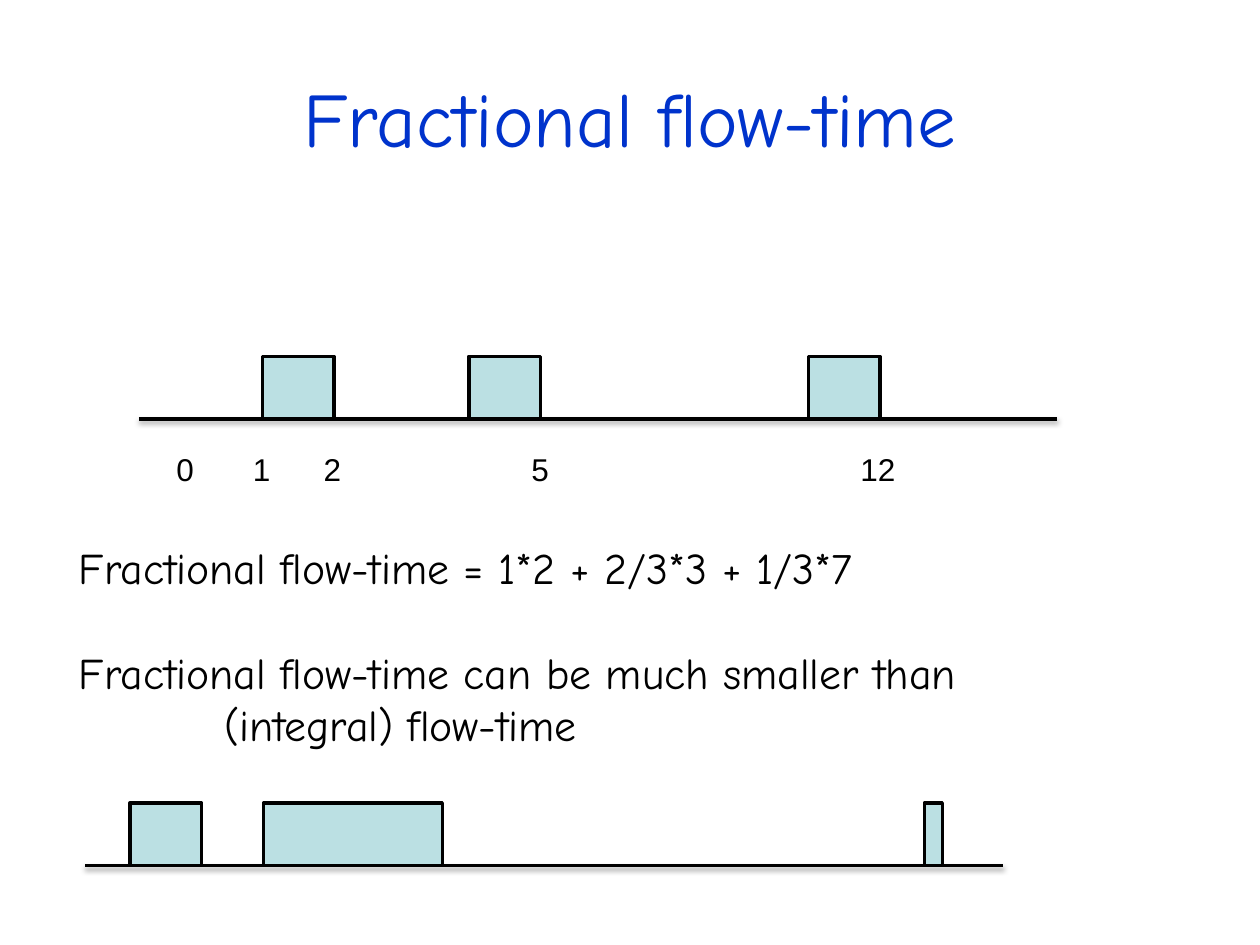
from lxml.etree import SubElement
from pptx import Presentation
from pptx.dml.color import RGBColor
from pptx.enum.shapes import MSO_CONNECTOR as Connector, MSO_SHAPE as Shape
from pptx.enum.text import MSO_ANCHOR as Anchor, MSO_AUTO_SIZE as AutoSize, PP_ALIGN as Align
from pptx.oxml.ns import qn
from pptx.util import Pt

COLORS = {"title": "0033CC", "ink": "000000", "job": "BBE0E3"}
HEADING_FONT, LABEL_FONT = "Comic Neue", "Arial"
JOB_HEIGHT = 35.7
UNIT_JOB = 41


def rgb(name):
    return RGBColor.from_string(COLORS[name])


class TimelineSlide:
    """Holds the shared style and the slide being drawn; lengths are in points."""

    def __init__(self, slide):
        self.shapes = slide.shapes
        self.line_width = Pt(2)

    def style_line(self, line):
        line.color.rgb = rgb("ink")
        line.width = self.line_width

    def text(self, lines, left, top, width, height, size, font, color="ink", wrap=True):
        box = self.shapes.add_textbox(Pt(left), Pt(top), Pt(width), Pt(height))
        frame = box.text_frame
        frame.word_wrap = wrap
        frame.text = "\n".join(lines)
        for paragraph in frame.paragraphs:
            for run in paragraph.runs:
                run.font.size = Pt(size)
                run.font.name = font
                run.font.color.rgb = rgb(color)
        return frame

    def title(self, wording):
        frame = self.text([wording], 36, 21.6, 648, 90, 44, HEADING_FONT, "title")
        frame.vertical_anchor = Anchor.MIDDLE
        frame.paragraphs[0].alignment = Align.CENTER

    def time_label(self, wording, left):
        width = 15 + 10.2 * len(wording)
        frame = self.text([wording], left, 253.4, width, 28.1, 18, LABEL_FONT, wrap=False)
        frame.auto_size = AutoSize.SHAPE_TO_FIT_TEXT

    def axis(self, left, y, length):
        axis = self.shapes.add_connector(
            Connector.STRAIGHT, Pt(left), Pt(y), Pt(left + length), Pt(y))
        self.style_line(axis.line)
        effects = SubElement(axis._element.spPr, qn("a:effectLst"))
        shadow = SubElement(effects, qn("a:outerShdw"), blurRad="40000", dist="20000",
                            dir="5400000", rotWithShape="0")
        shade = SubElement(shadow, qn("a:srgbClr"), val=COLORS["ink"])
        SubElement(shade, qn("a:alpha"), val="38000")

    def job(self, left, bottom, width):
        job = self.shapes.add_shape(
            Shape.RECTANGLE, Pt(left), Pt(bottom - JOB_HEIGHT), Pt(width), Pt(JOB_HEIGHT))
        job.shadow.inherit = False
        job.fill.solid()
        job.fill.fore_color.rgb = rgb("job")
        self.style_line(job.line)

    def timeline(self, axis_left, axis_y, jobs):
        """Draw an axis and the (left, width) jobs standing on it."""
        self.axis(axis_left, axis_y, 524.6)
        for left, width in jobs:
            self.job(left, axis_y, width)


def main():
    presentation = Presentation()
    presentation.slide_width, presentation.slide_height = Pt(720), Pt(540)
    page = TimelineSlide(presentation.slides.add_slide(presentation.slide_layouts[6]))

    page.title("Fractional flow-time")
    page.timeline(79.4, 239.4, [(left, UNIT_JOB) for left in (150, 267.9, 462)])
    for moment, left in (("0", 93.7), ("1", 137.4), ("2", 177.8), ("5", 296.6), ("12", 484.6)):
        page.time_label(moment, left)

    explanation = page.text(
        ["Fractional flow-time = 1*2 + 2/3*3 + 1/3*7",
         "Fractional flow-time can be much smaller than",
         "(integral) flow-time"],
        38, 305.5, 563.8, 127.4, 25, HEADING_FONT)
    formula, claim, claim_end = explanation.paragraphs
    claim.space_before = Pt(30)
    claim_end._p.get_or_add_pPr().set("marL", str(Pt(83)))

    page.timeline(48.6, 494.6, [(74.2, UNIT_JOB), (150.6, 102.2), (528.2, 10.3)])
    presentation.save("out.pptx")


if __name__ == "__main__":
    main()
